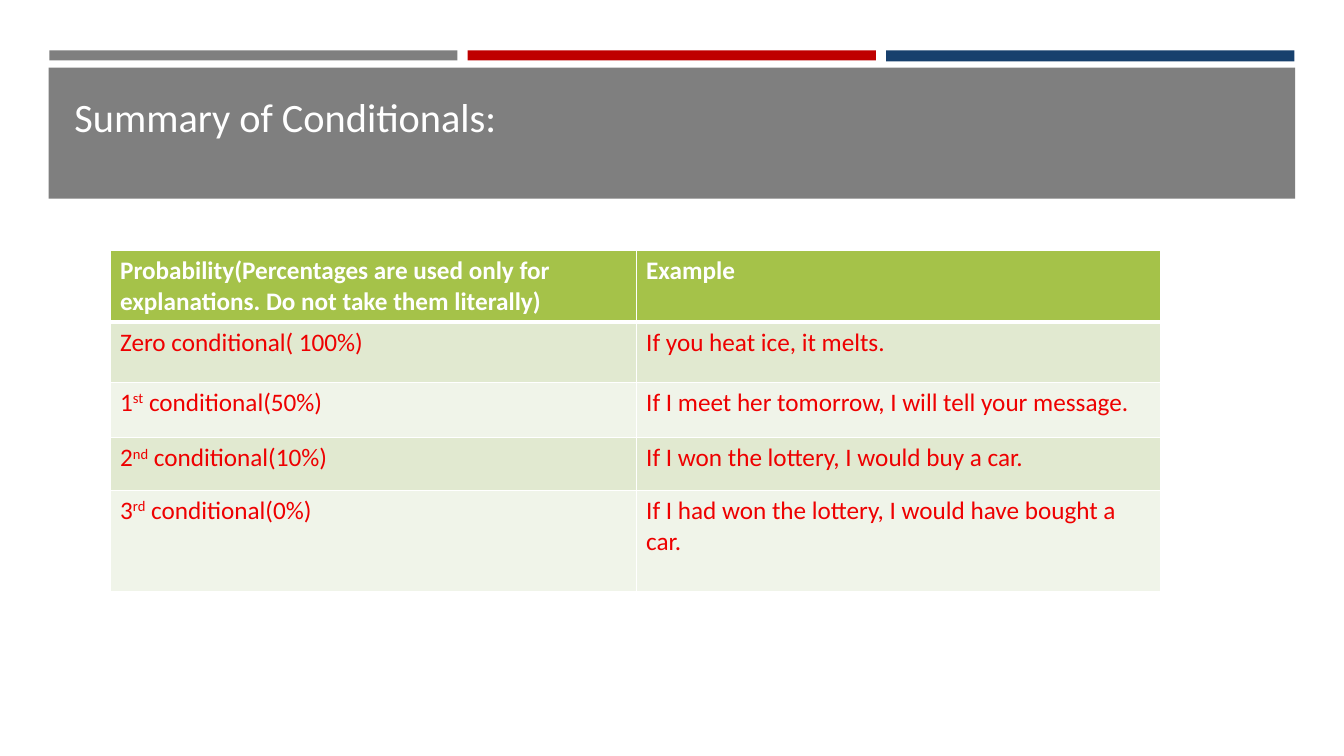
from lxml import etree
from pptx import Presentation
from pptx.dml.color import RGBColor
from pptx.enum.shapes import MSO_SHAPE
from pptx.enum.text import MSO_ANCHOR, MSO_AUTO_SIZE, PP_ALIGN
from pptx.oxml.ns import qn
from pptx.util import Pt

RECTANGLE = MSO_SHAPE.RECTANGLE
TOP = MSO_ANCHOR.TOP
NO_AUTOFIT = MSO_AUTO_SIZE.NONE
LEFT = PP_ALIGN.LEFT

FONT = "Calibri"
COLORS = {
    "white": "FFFFFF", "gray": "7F7F7F", "crimson": "BF0000", "navy": "17406D",
    "green": "A5C249", "band": "E1E9D0", "pale band": "F0F4E9", "red": "EE0000",
}
BAR_LEFT, BAR_TOP, BAR_WIDTH, BAR_PITCH = 35.2, 36, 291.6, 298.9
BARS = [("gray", 7.2), ("crimson", 7.2), ("navy", 7.9)]

# Each cell is a list of (text, is_superscript) pieces.
ROWS = [
    ([("Probability(Percentages are used only for explanations. "
       "Do not take them literally)", False)], [("Example", False)]),
    ([("Zero conditional( 100%)", False)], [("If you heat ice, it melts.", False)]),
    ([("1", False), ("st", True), (" conditional(50%)", False)],
     [("If I meet her tomorrow, I will tell your message.", False)]),
    ([("2", False), ("nd", True), (" conditional(10%)", False)],
     [("If I won the lottery, I would buy a car.", False)]),
    ([("3", False), ("rd", True), (" conditional(0%)", False)],
     [("If I had won the lottery, I would have bought a car.", False)]),
]
ROW_HEIGHTS = [51, 43.2, 39.6, 37.4, 72.6]
COLUMN_WIDTHS = [375.8, 374.4]


def rgb(color):
    return RGBColor.from_string(COLORS[color])


class SlideBuilder:
    def __init__(self, slide):
        self.slide = slide

    def style(self, paragraph, size, color, bold=False):
        paragraph.alignment = LEFT
        font = paragraph.font
        font.name, font.size, font.bold = FONT, Pt(size), bold
        font.color.rgb = rgb(color)

    def rectangle(self, left, top, width, height, color):
        shape = self.slide.shapes.add_shape(
            RECTANGLE, Pt(left), Pt(top), Pt(width), Pt(height))
        shape.shadow.inherit = False
        shape.fill.solid()
        shape.fill.fore_color.rgb = rgb(color)
        shape.line.fill.background()

    def title(self, text, left, top, width, height):
        """Fill the title placeholder and bring it in front of the banner."""
        title = self.slide.shapes.title
        title.left, title.top = Pt(left), Pt(top)
        title.width, title.height = Pt(width), Pt(height)
        frame = title.text_frame
        frame.text = text
        frame.word_wrap = True
        frame.auto_size = NO_AUTOFIT
        frame.vertical_anchor = TOP
        frame.margin_top = Pt(10.8)
        self.style(frame.paragraphs[0], 28.8, "white")
        self.slide.shapes.element.append(title.element)

    def borders(self, cell, widths):
        """Draw white borders; widths maps L, R, T and B to points."""
        properties = cell._tc.get_or_add_tcPr()
        for side, width in widths.items():
            line = etree.SubElement(properties, qn(f"a:ln{side}"), w=str(Pt(width)))
            fill = etree.SubElement(line, qn("a:solidFill"))
            etree.SubElement(fill, qn("a:srgbClr"), val=COLORS["white"])

    def cell(self, cell, pieces, row_index):
        header = row_index == 0
        self.borders(cell, {"L": 1, "R": 1, "T": 3 if row_index == 1 else 1,
                            "B": 3 if header else 1})
        cell.fill.solid()
        band = "band" if row_index % 2 else "pale band"
        cell.fill.fore_color.rgb = rgb("green" if header else band)
        paragraph = cell.text_frame.paragraphs[0]
        self.style(paragraph, 18, "white" if header else "red", header)
        for text, superscript in pieces:
            run = paragraph.add_run()
            run.text = text
            if superscript:
                run._r.get_or_add_rPr().set("baseline", "30000")

    def table(self, rows, left, top, column_widths, row_heights):
        table = self.slide.shapes.add_table(
            len(rows), len(column_widths), Pt(left), Pt(top),
            Pt(sum(column_widths)), Pt(sum(row_heights))).table
        for column, width in zip(table.columns, column_widths):
            column.width = Pt(width)
        for row_index, (cells, height) in enumerate(zip(rows, row_heights)):
            table.rows[row_index].height = Pt(height)
            for column_index, pieces in enumerate(cells):
                self.cell(table.cell(row_index, column_index), pieces, row_index)


def main():
    presentation = Presentation()
    presentation.slide_width, presentation.slide_height = Pt(960), Pt(540)
    title_only = presentation.slide_layouts[5]
    builder = SlideBuilder(presentation.slides.add_slide(title_only))
    for index, (color, height) in enumerate(BARS):
        builder.rectangle(BAR_LEFT + index * BAR_PITCH, BAR_TOP, BAR_WIDTH, height, color)
    builder.rectangle(34.8, 48.4, 890.4, 93.6, "gray")
    builder.title("Summary of Conditionals:", 46, 55.4, 868.3, 81.4)
    builder.table(ROWS, 78.6, 178.8, COLUMN_WIDTHS, ROW_HEIGHTS)
    presentation.save("out.pptx")


if __name__ == "__main__":
    main()
